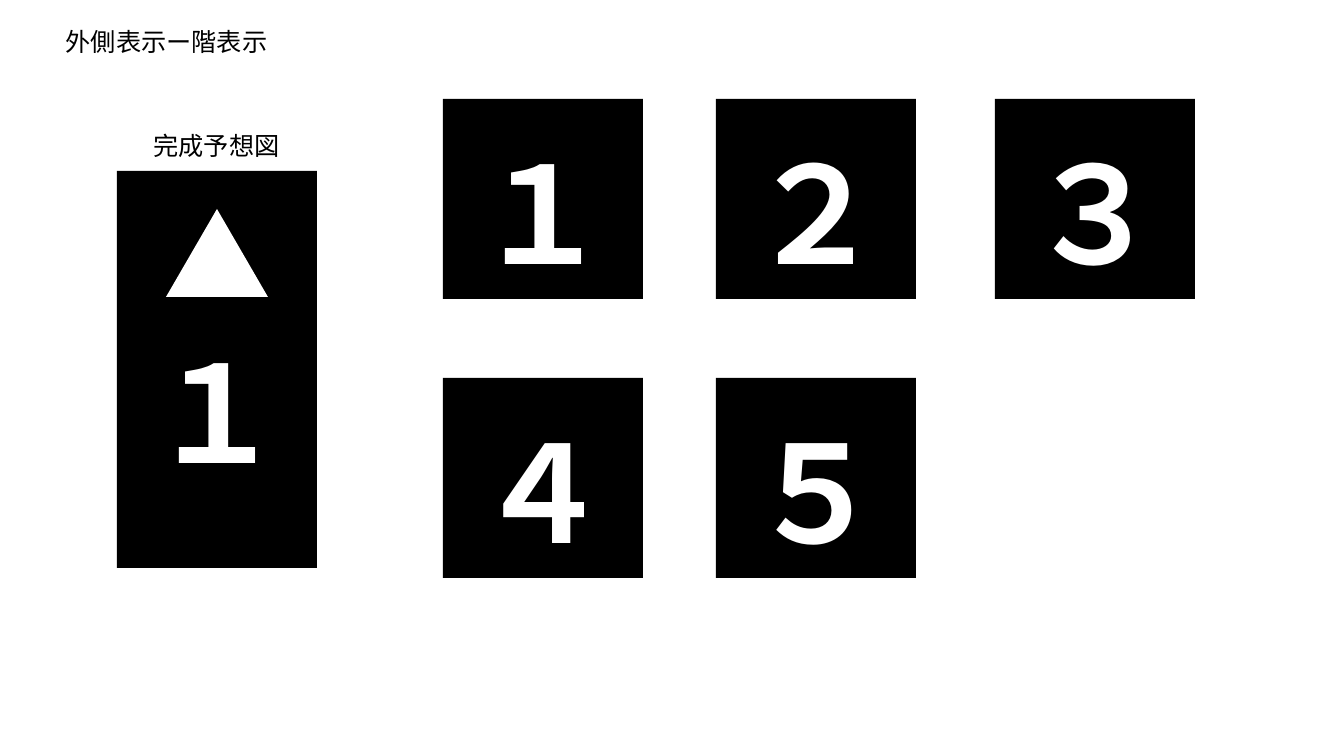
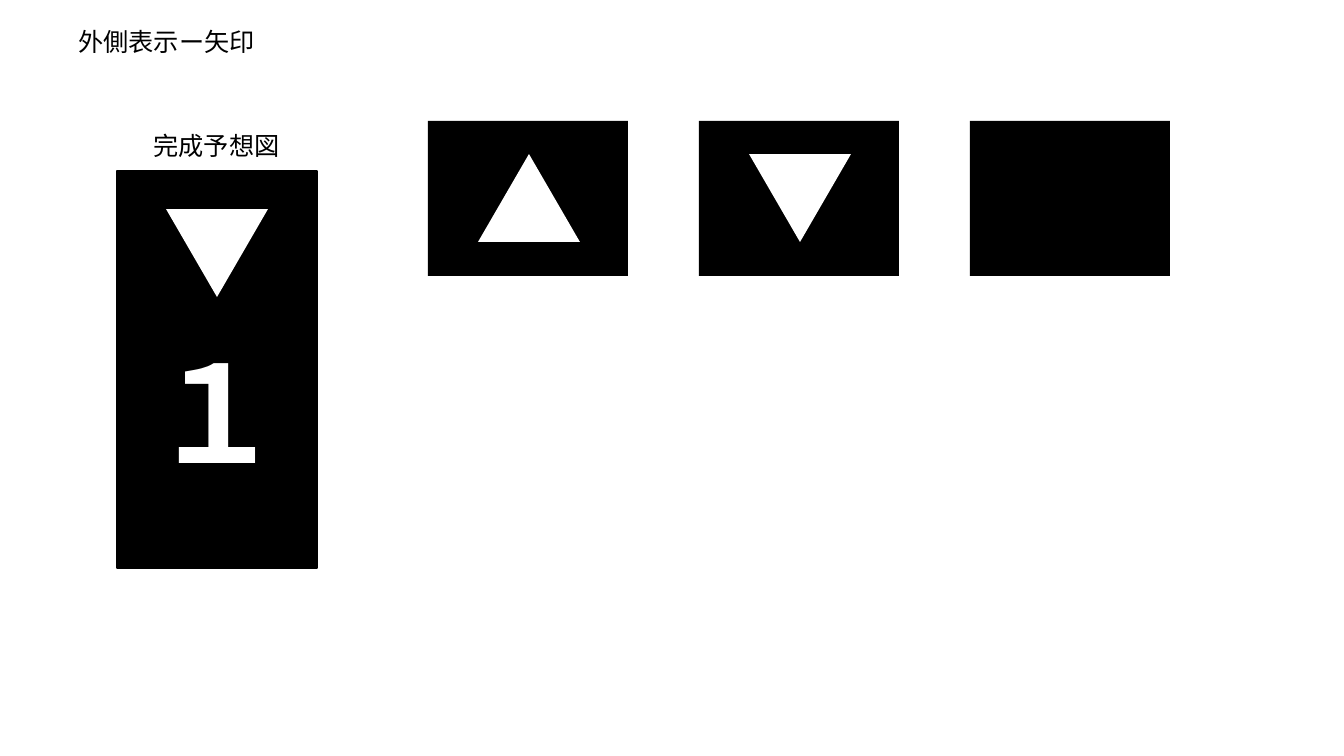
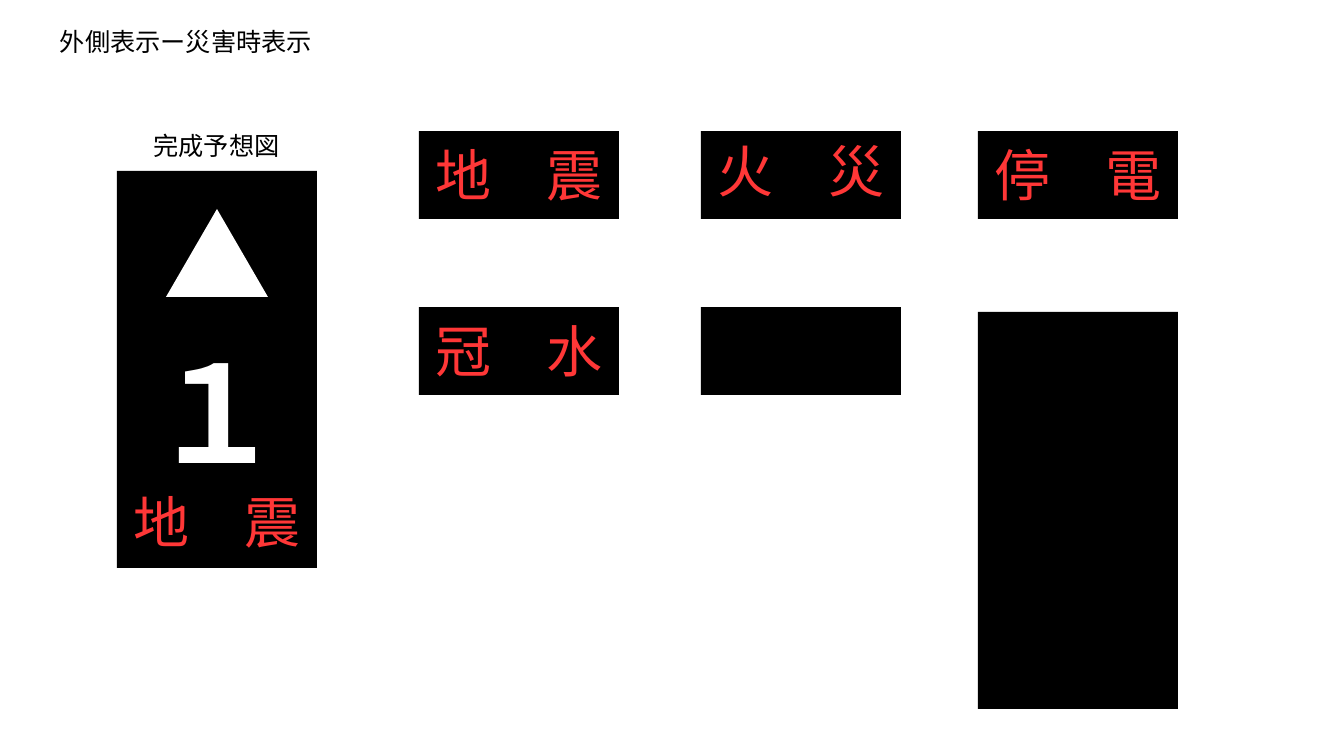
from lxml import etree
from pptx import Presentation
from pptx.dml.color import RGBColor
from pptx.enum.shapes import MSO_SHAPE
from pptx.enum.text import MSO_AUTO_SIZE, PP_ALIGN
from pptx.oxml.ns import qn
from pptx.util import Pt

RECT = MSO_SHAPE.RECTANGLE
TRIANGLE = MSO_SHAPE.ISOSCELES_TRIANGLE
GROW = MSO_AUTO_SIZE.SHAPE_TO_FIT_TEXT
CENTER = PP_ALIGN.CENTER

COLORS = {"black": "000000", "white": "FFFFFF", "red": "FF3737"}
FONT = "Noto Sans CJK JP"
WIDE, HIGH = 1344, 756
SIDE = 200
ARROW_H, WORD_H, PANEL_H = 155, 88, 397
PANEL = (117, 171)


def px(n):
    """Turn px, 100.8 to the inch, into EMU."""
    return round(n * 914400 / 100.8)


def color(name):
    return RGBColor.from_string(COLORS[name])


def shape(shapes, kind, x, y, w, h, fill):
    item = shapes.add_shape(kind, px(x), px(y), px(w), px(h))
    item.shadow.inherit = False
    item.fill.solid()
    item.fill.fore_color.rgb = color(fill)
    item.line.fill.background()
    return item


def text(shapes, words, x, y, w, h, size, tint, bold=False):
    box = shapes.add_textbox(px(x), px(y), px(w), px(h))
    frame = box.text_frame
    frame.word_wrap = True
    frame.auto_size = GROW
    frame.text = words
    line = frame.paragraphs[0]
    line.alignment = CENTER
    font = line.runs[0].font
    font.size = Pt(size)
    font.bold = bold
    font.color.rgb = color(tint)
    font.name = FONT
    props = line.runs[0]._r.get_or_add_rPr()
    etree.SubElement(props, qn("a:ea")).set("typeface", FONT)


def block(shapes, x, y, h):
    """Black plate of the common width."""
    return shape(shapes, RECT, x, y, SIDE, h, "black")


def digit(shapes, sign, x, y):
    text(shapes, sign, x + 14, y + 26, 171, 173, 96, "white", True)


def arrow(shapes, x, y, down=False):
    mark = shape(shapes, TRIANGLE, x, y, 102, 88, "white")
    mark.rotation = 180 if down else 0


def word(shapes, words, x, y):
    text(shapes, words, x, y, SIDE, 78, 40, "red")


def floor(shapes, sign, x, y):
    """Grouped square tile with its floor number."""
    tile = shapes.add_group_shape().shapes
    block(tile, x, y, SIDE)
    digit(tile, sign, x, y)


def mock(shapes, x, y, down=False, alarm=None):
    """Finished panel with its caption, arrow, floor and alarm."""
    text(shapes, "完成予想図", x + 23, y - 46, 153, 40, 18, "black")
    plate = block(shapes, x, y, PANEL_H)
    if down:
        plate.line.color.rgb = color("black")
        plate.line.width = Pt(1)
    arrow(shapes, x + 49, y + 38, down)
    digit(shapes, "１", x, y + 127)
    if alarm:
        word(shapes, alarm, x, y + 312)


def page(deck, title, width=253, **look):
    """Blank slide with title and finished panel; returns its shapes."""
    shapes = deck.slides.add_slide(deck.slide_layouts[6]).shapes
    text(shapes, title, 40, 21, width, 40, 18, "black")
    mock(shapes, *PANEL, **look)
    return shapes


def floors(deck):
    shapes = page(deck, "外側表示ー階表示")
    cols = (443, 716, 995)
    for i, sign in enumerate("１２３４５"):
        row, col = divmod(i, len(cols))
        floor(shapes, sign, cols[col], 99 + row * 279)


def arrows(deck):
    shapes = page(deck, "外側表示ー矢印", down=True)
    left, top, step = 428, 121, 271
    for i in range(3):
        block(shapes, left + i * step, top, ARROW_H)
    for i, down in enumerate((False, True)):
        arrow(shapes, left + i * step + 50, top + 33, down)


def alarms(deck):
    shapes = page(deck, "外側表示ー災害時表示", 292, alarm="地　震")
    cols, top, low = (419, 701, 978), 131, 307
    tiles = (
        ("地　震", cols[0], top, 5),
        ("火　災", cols[1], top, 1),
        ("停　電", cols[2], top, 5),
        ("冠　水", cols[0], low, 5),
    )
    for words, x, y, drop in tiles:
        block(shapes, x, y, WORD_H)
        word(shapes, words, x, y + drop)
    block(shapes, cols[1], low, WORD_H)
    block(shapes, cols[2], low + 5, PANEL_H)


def main():
    deck = Presentation()
    deck.slide_width, deck.slide_height = px(WIDE), px(HIGH)
    for build in (floors, arrows, alarms):
        build(deck)
    deck.save("out.pptx")


if __name__ == "__main__":
    main()
